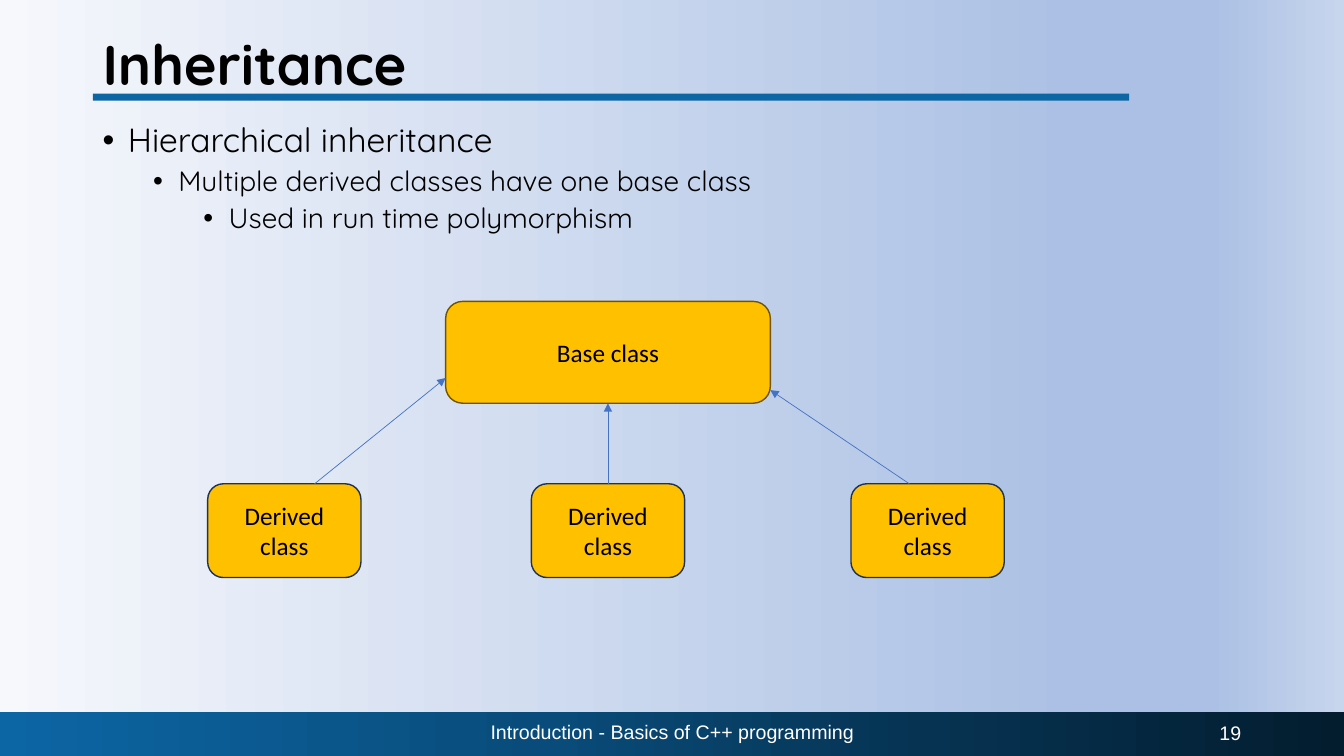
from dataclasses import dataclass

from lxml import etree
from pptx import Presentation
from pptx.dml.color import RGBColor
from pptx.enum.shapes import MSO_CONNECTOR, MSO_SHAPE
from pptx.enum.text import MSO_ANCHOR, PP_ALIGN
from pptx.oxml.ns import qn
from pptx.util import Inches, Pt

RECTANGLE = MSO_SHAPE.RECTANGLE
ROUNDED = MSO_SHAPE.ROUNDED_RECTANGLE
STRAIGHT = MSO_CONNECTOR.STRAIGHT
MIDDLE, TOP = MSO_ANCHOR.MIDDLE, MSO_ANCHOR.TOP
LEFT, CENTER, RIGHT = PP_ALIGN.LEFT, PP_ALIGN.CENTER, PP_ALIGN.RIGHT
TOP_SIDE, BOTTOM_SIDE = 0, 2
CELL = Inches(0.1)


@dataclass(frozen=True)
class Theme:
    heading_font: str = "Quicksand"
    footer_font: str = "Arial"
    box_font: str = "Calibri"
    title_size: int = 40
    bullet_sizes: tuple = (24, 20, 20)
    box_size: int = 18
    footer_size: int = 14
    text: str = "000000"
    light_text: str = "FFFFFF"
    rule: str = "0C66A4"
    box: str = "FFC000"
    base_line: str = "705400"
    derived_line: str = "1E3256"
    arrow: str = "4472C4"
    background: tuple = ((0, "F6F8FC"), (80, "ABC0E4"), (90, "ABC0E4"), (100, "C7D5ED"))
    footer: tuple = ((0, "0C66A4"), (40, "094C7B"), (69, "063352"), (100, "031D2F"))


def grid(*cells):
    return [round(cell * CELL) for cell in cells]


def color(value):
    return RGBColor.from_string(value)


class SlideBuilder:
    def __init__(self, slide, theme):
        self.slide = slide
        self.theme = theme

    def gradient(self, fill, element, stops):
        fill.gradient()
        fill.gradient_angle = 0
        stop_list = element.find(".//" + qn("a:gsLst"))
        for stop in list(stop_list):
            stop_list.remove(stop)
        for position, value in stops:
            stop = etree.SubElement(stop_list, qn("a:gs"), pos=str(position * 1000))
            etree.SubElement(stop, qn("a:srgbClr"), val=value)

    def background(self):
        self.gradient(self.slide.background.fill, self.slide.element, self.theme.background)

    def shape(self, kind, place, fill, line=None):
        shape = self.slide.shapes.add_shape(kind, *grid(*place))
        shape.shadow.inherit = False
        if isinstance(fill, str):
            shape.fill.solid()
            shape.fill.fore_color.rgb = color(fill)
        else:
            self.gradient(shape.fill, shape.element, fill)
        if line:
            shape.line.color.rgb = color(line)
            shape.line.width = Pt(1)
        else:
            shape.line.fill.background()
        return shape

    def style(self, paragraph, font, size, value, align=LEFT, bold=False):
        paragraph.alignment = align
        for run in paragraph.runs:
            run.font.name = font
            run.font.size = Pt(size)
            run.font.bold = bold
            run.font.color.rgb = color(value)

    def text(self, place, words, font, size, value, align=LEFT, bold=False):
        text_frame = self.slide.shapes.add_textbox(*grid(*place)).text_frame
        text_frame.word_wrap = True
        text_frame.vertical_anchor = MIDDLE
        text_frame.text = words
        self.style(text_frame.paragraphs[0], font, size, value, align, bold)

    def bullets(self, place, lines):
        text_frame = self.slide.shapes.add_textbox(*grid(*place)).text_frame
        text_frame.word_wrap = True
        text_frame.vertical_anchor = TOP
        text_frame.text = "\n".join(lines)
        for level, paragraph in enumerate(text_frame.paragraphs):
            paragraph.level = level
            paragraph.line_spacing = 0.9
            paragraph.space_before = Pt(5 if level else 0)
            properties = paragraph._p.get_or_add_pPr()
            properties.set("marL", str(Inches(0.25 + 0.5 * level)))
            properties.set("indent", str(Inches(-0.25)))
            etree.SubElement(properties, qn("a:buFont"), typeface="Arial")
            etree.SubElement(properties, qn("a:buChar"), char="•")
            self.style(paragraph, self.theme.heading_font,
                       self.theme.bullet_sizes[level], self.theme.text)

    def class_box(self, place, words, line):
        shape = self.shape(ROUNDED, place, self.theme.box, line)
        shape.text_frame.word_wrap = True
        shape.text_frame.vertical_anchor = MIDDLE
        shape.text_frame.text = words
        self.style(shape.text_frame.paragraphs[0], self.theme.box_font,
                   self.theme.box_size, self.theme.text, CENTER)
        return shape

    def arrow(self, start, end):
        connector = self.slide.shapes.add_connector(STRAIGHT, *grid(*start, *end))
        connector.line.color.rgb = color(self.theme.arrow)
        connector.line.width = Pt(0.5)
        etree.SubElement(connector.line._get_or_add_ln(), qn("a:tailEnd"), type="triangle")
        etree.SubElement(connector.element.spPr, qn("a:effectLst"))
        return connector


def main():
    presentation = Presentation()
    presentation.slide_width = Inches(13.33)
    presentation.slide_height = Inches(7.5)
    slide = presentation.slides.add_slide(presentation.slide_layouts[6])
    theme = Theme()
    builder = SlideBuilder(slide, theme)

    builder.background()
    builder.shape(RECTANGLE, (0, 70.6, 133.3, 4.4), theme.footer)
    builder.shape(RECTANGLE, (9.2, 9.3, 102.8, 0.7), theme.rule)
    builder.text((9.2, 1.2, 115, 10.1), "Inheritance", theme.heading_font,
                 theme.title_size, theme.text, bold=True)
    builder.bullets((9.2, 11.8, 115, 56.4), (
        "Hierarchical inheritance",
        "Multiple derived classes have one base class",
        "Used in run time polymorphism",
    ))
    builder.text((44.2, 70.6, 45, 4), "Introduction - Basics of C++ programming",
                 theme.footer_font, theme.footer_size, theme.light_text, CENTER)
    builder.text((94.1, 70.7, 30, 4), "19", theme.footer_font,
                 theme.footer_size, theme.light_text, RIGHT)

    base = builder.class_box((44.2, 29.9, 32.2, 10.1), "Base class", theme.base_line)
    left_box, middle_box, right_box = [
        builder.class_box((column, 48, 15.2, 9.3), "Derived class", theme.derived_line)
        for column in (20.6, 52.7, 84.4)
    ]
    middle_arrow = builder.arrow((60.3, 48), (60.3, 40))
    middle_arrow.begin_connect(middle_box, TOP_SIDE)
    middle_arrow.end_connect(base, BOTTOM_SIDE)
    builder.arrow((90.2, 48), (76.4, 38.7))
    builder.arrow((31.2, 48), (44.2, 37.5))

    presentation.save("out.pptx")


if __name__ == "__main__":
    main()
